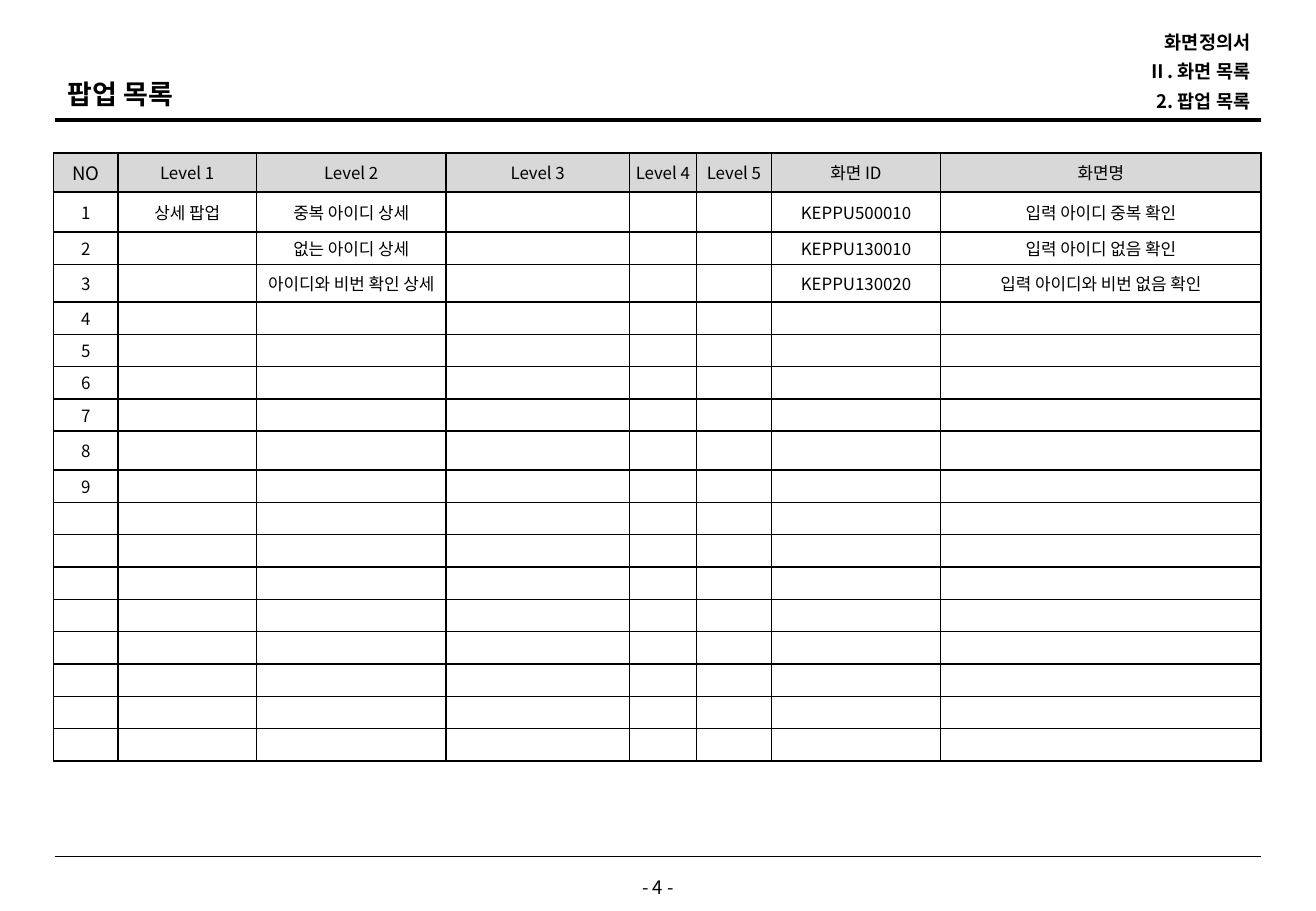
from lxml import etree
from pptx import Presentation
from pptx import util as u
from pptx.dml.color import RGBColor
from pptx.enum import shapes, text
from pptx.oxml import ns

# Content
FONT = "Noto Sans CJK KR"
BLACK, GREY = "000000", "D8D8D8"
TITLE = "팝업 목록"
PAGE_NUMBER = "- 4 -"
BREADCRUMB = ["화면정의서", "Ⅱ. 화면 목록", "2. 팝업 목록"]
HEADER = ["NO", "Level 1", "Level 2", "Level 3", "Level 4", "Level 5", "화면 ID", "화면명"]
POPUPS = [
    ("상세 팝업", "중복 아이디 상세", "KEPPU500010", "입력 아이디 중복 확인"),
    ("", "없는 아이디 상세", "KEPPU130010", "입력 아이디 없음 확인"),
    ("", "아이디와 비번 확인 상세", "KEPPU130020", "입력 아이디와 비번 없음 확인"),
]
NUMBERED_ROWS, BODY_ROWS = 9, 17

# Layout
LEFT, RIGHT = 0.45, 10.38
TABLE_LEFT, TABLE_TOP, TABLE_HEIGHT = 0.44, 1.26, 5.01
COLUMN_WIDTHS = [0.53, 1.14, 1.56, 1.51, 0.55, 0.62, 1.39, 2.64]
TALL_ROWS = {0: 0.32, 1: 0.33, 3: 0.31, 8: 0.32}
PLAIN_ROW = (TABLE_HEIGHT - sum(TALL_ROWS.values())) / (BODY_ROWS + 1 - len(TALL_ROWS))


def color(value):
    return RGBColor.from_string(value)


def write(para, words, size, align, bold=False):
    para.text = words
    para.alignment = align
    for span in para.runs:
        span.font.size = u.Pt(size)
        span.font.bold = bold
        span.font.name = FONT
        span.font.color.rgb = color(BLACK)
        east_asian = etree.SubElement(span.font._element, ns.qn("a:ea"))
        east_asian.set("typeface", FONT)
    if not words:
        # Keeps an empty cell from growing to the default text size
        etree.SubElement(para._p, ns.qn("a:endParaRPr")).set("sz", str(size * 100))


def add_text(page, area, words, size, align, anchor, spacing, inset=(0.1, 0.05), bold=False):
    box = page.shapes.add_textbox(*map(u.Inches, area))
    frame = box.text_frame
    frame.word_wrap = True
    frame.vertical_anchor = anchor
    frame.margin_left = frame.margin_right = u.Inches(inset[0])
    frame.margin_top = frame.margin_bottom = u.Inches(inset[1])
    write(frame.paragraphs[0], words, size, align, bold)
    frame.paragraphs[0].line_spacing = spacing


def add_rule(page, y, weight):
    rule = page.shapes.add_connector(
        shapes.MSO_CONNECTOR.STRAIGHT, u.Inches(LEFT), u.Inches(y), u.Inches(RIGHT), u.Inches(y))
    rule.line.width = u.Pt(weight)
    rule.line.color.rgb = color(BLACK)
    etree.SubElement(rule._element.spPr, ns.qn("a:effectLst"))


def add_borders(cell):
    properties = cell._tc.get_or_add_tcPr()
    for place, side in enumerate(("lnL", "lnR", "lnT", "lnB")):
        border = etree.Element(ns.qn("a:" + side), w=str(u.Pt(1)))
        fill = etree.SubElement(border, ns.qn("a:solidFill"))
        etree.SubElement(fill, ns.qn("a:srgbClr")).set("val", BLACK)
        properties.insert(place, border)


def table_rows():
    rows = [HEADER]
    for number in range(1, BODY_ROWS + 1):
        row = [str(number) if number <= NUMBERED_ROWS else ""] + [""] * (len(HEADER) - 1)
        if number <= len(POPUPS):
            row[1], row[2], row[6], row[7] = POPUPS[number - 1]
        rows.append(row)
    return rows


def add_popup_table(page):
    rows = table_rows()
    frame = page.shapes.add_table(
        len(rows), len(HEADER), u.Inches(TABLE_LEFT), u.Inches(TABLE_TOP),
        u.Inches(sum(COLUMN_WIDTHS)), u.Inches(TABLE_HEIGHT))
    table = frame.table
    table.first_row = table.horz_banding = False
    for column, width in zip(table.columns, COLUMN_WIDTHS):
        column.width = u.Inches(width)
    for r, row in enumerate(rows):
        table.rows[r].height = u.Inches(TALL_ROWS.get(r, PLAIN_ROW))
        for c, words in enumerate(row):
            cell = table.cell(r, c)
            is_corner = r == c == 0
            side = 0.04 if r == 0 or c == 0 else 0.01
            cell.margin_left = cell.margin_right = u.Inches(side)
            cell.margin_top = cell.margin_bottom = u.Inches(0.05 if is_corner else 0)
            cell.vertical_anchor = text.MSO_ANCHOR.MIDDLE
            if r == 0:
                cell.fill.solid()
                cell.fill.fore_color.rgb = color(GREY)
            else:
                cell.fill.background()
            add_borders(cell)
            write(cell.text_frame.paragraphs[0], words, 11 if is_corner else 10,
                  text.PP_ALIGN.CENTER)


def main():
    deck = Presentation()
    deck.slide_width, deck.slide_height = u.Inches(10.83), u.Inches(7.5)
    page = deck.slides.add_slide(deck.slide_layouts[6])

    # Rules and page number
    add_rule(page, 0.99, 2.25)
    add_rule(page, 7.05, 0.75)
    add_text(page, (4.1, 7.19, 2.63, 0.21), PAGE_NUMBER, 11, text.PP_ALIGN.CENTER,
             text.MSO_ANCHOR.MIDDLE, 1.09, inset=(0, 0))

    # Title and breadcrumb
    add_text(page, (0.46, 0.62, 6.77, 0.32), TITLE, 16, text.PP_ALIGN.LEFT,
             text.MSO_ANCHOR.TOP, 0.9, bold=True)
    for i, words in enumerate(BREADCRUMB):
        add_text(page, (7.32, 0.26 + 0.24 * i, 3.07, 0.2), words, 11, text.PP_ALIGN.RIGHT,
                 text.MSO_ANCHOR.MIDDLE, 0.9, bold=True)

    # Popup list
    add_popup_table(page)
    deck.save("out.pptx")


if __name__ == "__main__":
    main()
